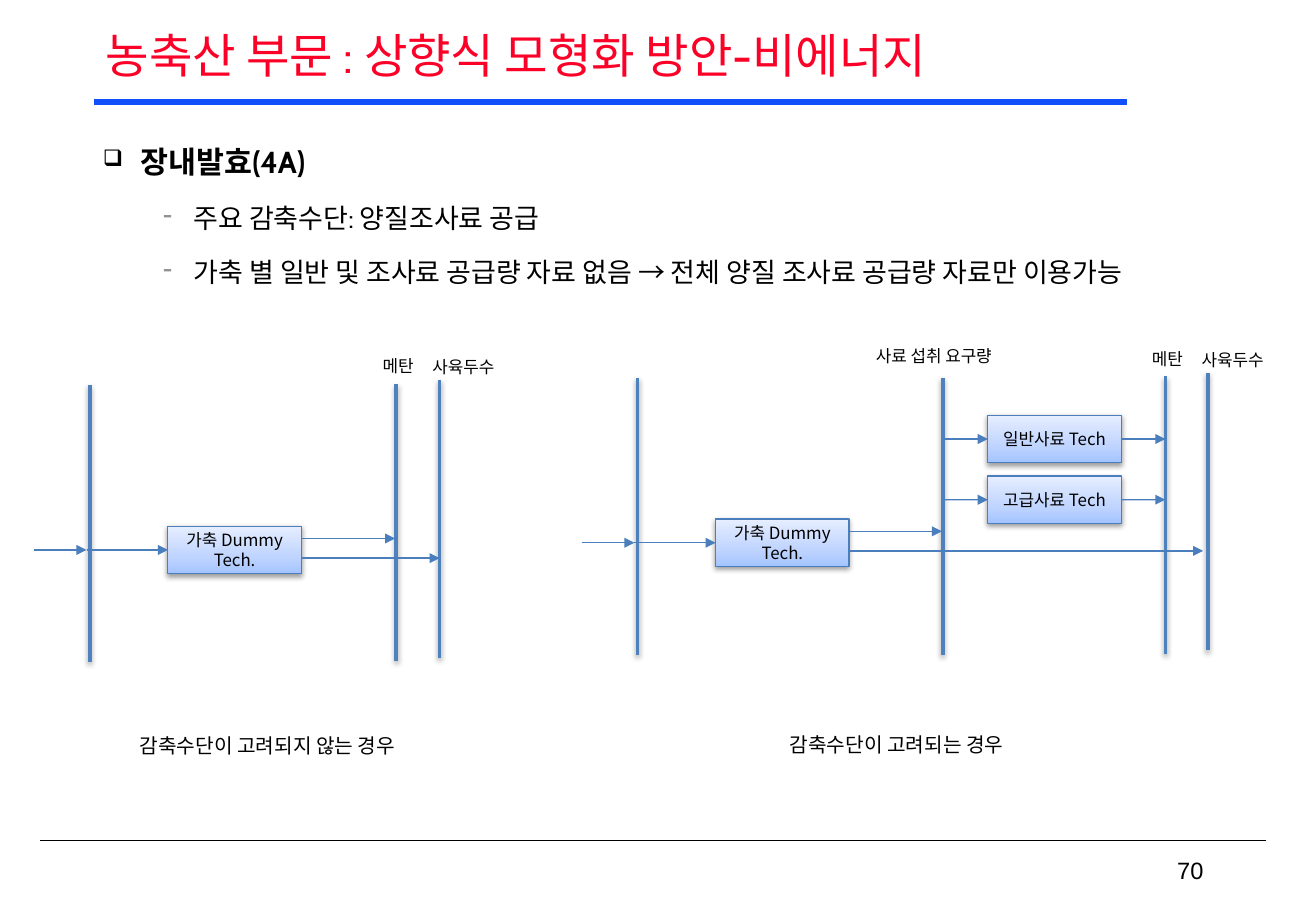
import pptx
import pptx.util
import pptx.dml.color
import pptx.enum.shapes
import pptx.enum.text
import pptx.oxml.ns
from lxml import etree

Cm, Pt = pptx.util.Cm, pptx.util.Pt
qn = pptx.oxml.ns.qn
ALIGN = pptx.enum.text.PP_ALIGN
ANCHOR = pptx.enum.text.MSO_ANCHOR

COLORS = {
    "title": "FC0128", "title_rule": "114FFB", "text": "000000", "dash": "919191",
    "bar": "4F81BD", "flow": "4B7EBC",
    "box_bottom": "A4C4FF", "box_middle": "BFD4FF", "box_top": "E6EEFF",
}
HANGUL = "Noto Sans CJK KR"
TITLE = "농축산 부문 : 상향식 모형화 방안-비에너지"
PAGE = "70"
OUTLINE = [
    (0, "장내발효(4A)"),
    (1, "주요 감축수단: 양질조사료 공급"),
    (1, "가축 별 일반 및 조사료 공급량 자료 없음 → 전체 양질 조사료 공급량 자료만 이용가능"),
]
LEVELS = [
    {"margin": 0.79, "hang": 0.79, "bullet": "❑", "color": "text", "scale": 75, "size": 18, "bold": True},
    {"margin": 1.9, "hang": 0.64, "bullet": "-", "color": "dash", "scale": 100, "size": 16, "bold": False},
]
DUMMY = "가축 Dummy Tech."
CASES = [
    {
        "caption": ("감축수단이 고려되지 않는 경우", 2.67, 15.21),
        "dummy": (3.51, 11.5),
        "bars": [(1.88, 8.05), (8.28, 8.03), (9.19, 7.95)],
        "outputs": [8.26, 9.19],
        "labels": [("메탄", 7.75, 7.32, 1.32), ("사육두수", 8.79, 7.34, 2.6)],
        "feeds": [],
    },
    {
        "caption": ("감축수단이 고려되는 경우", 16.26, 15.19),
        "dummy": (14.96, 11.35),
        "bars": [(13.33, 7.9), (19.71, 7.9), (24.36, 7.87), (25.25, 7.8)],
        "outputs": [19.69, 25.15],
        "labels": [("사료 섭취 요구량", 18.06, 7.11, 3.38), ("메탄", 23.83, 7.16, 1.32),
                   ("사육두수", 24.87, 7.19, 2.6)],
        "feeds": [("일반사료 Tech", 9.18), ("고급사료 Tech", 10.45)],
    },
]
BOX_W, BOX_H, BAR_H = 2.79, 0.99, 5.8
INPUT_START, INPUT_BAR = 2.8, 1.7
OUTPUT_SHIFTS = [-0.24, 0.17]
FEED_X, FEED_FROM, FEED_TO = 20.65, 19.74, 24.36

deck = pptx.Presentation()
deck.slide_width, deck.slide_height = Cm(27.51), Cm(19.05)
slide = deck.slides.add_slide(deck.slide_layouts[6])


def rgb(key):
    return pptx.dml.color.RGBColor.from_string(COLORS[key])


def add_xml(parent, tag, **attributes):
    return etree.SubElement(parent, qn(tag), {k: str(v) for k, v in attributes.items()})


def set_effects(properties, shadow):
    effects = properties.find(qn("a:effectLst"))
    if effects is None:
        effects = add_xml(properties, "a:effectLst")
    if shadow:
        cast = add_xml(effects, "a:outerShdw", blurRad=40000, dist=20000, dir=5400000, rotWithShape=0)
        add_xml(add_xml(cast, "a:srgbClr", val=COLORS["text"]), "a:alpha", val=38000)


def add_line(x1, y1, x2, y2, color, width, shadow=False, arrow=False):
    line = slide.shapes.add_connector(
        pptx.enum.shapes.MSO_CONNECTOR.STRAIGHT, Cm(x1), Cm(y1), Cm(x2), Cm(y2))
    line.line.color.rgb = rgb(color)
    line.line.width = Pt(width)
    if arrow:
        add_xml(line.line._get_or_add_ln(), "a:tailEnd", type="triangle")
    set_effects(line._element.spPr, shadow)
    return line


def add_flow(x1, x2, y):
    return add_line(x1, y, x2, y, "flow", 0.75, arrow=True)


def add_run(paragraph, text, size, font, color="text", bold=False):
    run = paragraph.add_run()
    run.text = text
    run.font.size, run.font.name, run.font.bold = Pt(size), font, bold
    run.font.color.rgb = rgb(color)
    add_xml(run._r.get_or_add_rPr(), "a:ea", typeface=HANGUL)


def add_frame(x, y, w, h, anchor=ANCHOR.TOP):
    frame = slide.shapes.add_textbox(Cm(x), Cm(y), Cm(w), Cm(h)).text_frame
    frame.word_wrap = True
    frame.vertical_anchor = anchor
    return frame


def add_box(text, x, middle):
    box = slide.shapes.add_shape(
        pptx.enum.shapes.MSO_SHAPE.RECTANGLE, Cm(x), Cm(middle - BOX_H / 2), Cm(BOX_W), Cm(BOX_H))
    box.fill.gradient()
    box.fill.gradient_angle = 90
    stops = box._element.spPr.find(qn("a:gradFill")).find(qn("a:gsLst"))
    for stop in list(stops):
        stops.remove(stop)
    for position, key in [(0, "box_bottom"), (35, "box_middle"), (100, "box_top")]:
        add_xml(add_xml(stops, "a:gs", pos=position * 1000), "a:srgbClr", val=COLORS[key])
    box.line.color.rgb = rgb("flow")
    box.line.width = Pt(0.75)
    box.shadow.inherit = False
    set_effects(box._element.spPr, True)
    box.text_frame.word_wrap = True
    box.text_frame.vertical_anchor = ANCHOR.MIDDLE
    paragraph = box.text_frame.paragraphs[0]
    paragraph.alignment = ALIGN.CENTER
    add_run(paragraph, text, 10, HANGUL)
    return box


def add_outline():
    frame = add_frame(1.9, 2.49, 24.74, 5)
    for index, (level, text) in enumerate(OUTLINE):
        style = LEVELS[level]
        paragraph = frame.add_paragraph() if index else frame.paragraphs[0]
        paragraph.level = level
        properties = paragraph._p.get_or_add_pPr()
        properties.set("marL", str(Cm(style["margin"])))
        properties.set("indent", str(-Cm(style["hang"])))
        add_xml(add_xml(properties, "a:buClr"), "a:srgbClr", val=COLORS[style["color"]])
        add_xml(properties, "a:buSzPct", val=style["scale"] * 1000)
        add_xml(properties, "a:buChar", char=style["bullet"])
        paragraph.line_spacing = 1.5
        paragraph.space_after = Pt(style["size"] * 0.2)
        add_run(paragraph, text, style["size"], "Cabin", bold=style["bold"])


def add_case(case):
    for x, top in case["bars"]:
        add_line(x, top, x, top + BAR_H, "bar", 2, shadow=True)
    x, middle = case["dummy"]
    dummy = add_box(DUMMY, x, middle)
    add_flow(x - INPUT_START, x - INPUT_BAR, middle)
    add_flow(x - INPUT_BAR, x, middle).end_connect(dummy, 1)
    for end, shift in zip(case["outputs"], OUTPUT_SHIFTS):
        add_flow(x + BOX_W, end, middle + shift)
    for text, feed_middle in case["feeds"]:
        feed = add_box(text, FEED_X, feed_middle)
        add_flow(FEED_FROM, FEED_X, feed_middle).end_connect(feed, 1)
        add_flow(FEED_X + BOX_W, FEED_TO, feed_middle).begin_connect(feed, 3)
    for text, left, top, width in case["labels"]:
        add_run(add_frame(left, top, width, 0.69).paragraphs[0], text, 10, HANGUL)
    text, left, top = case["caption"]
    add_run(add_frame(left, top, 6.53, 0.76).paragraphs[0], text, 12, "Times New Roman")


add_line(26.47, 17.58, 0.84, 17.58, "text", 1)
add_line(1.96, 2.13, 23.55, 2.13, "title_rule", 3.75)
heading = add_frame(1.96, 0.43, 23.6, 1.57, ANCHOR.MIDDLE).paragraphs[0]
heading.alignment = ALIGN.JUSTIFY
heading.line_spacing = 0.9
add_run(heading, TITLE, 28, "Cabin", "title")
page = add_frame(19.69, 17.78, 5.72, 0.84, ANCHOR.MIDDLE).paragraphs[0]
page.alignment = ALIGN.RIGHT
add_run(page, PAGE, 14, "Arial")
add_outline()
for case in CASES:
    add_case(case)

deck.save("out.pptx")
